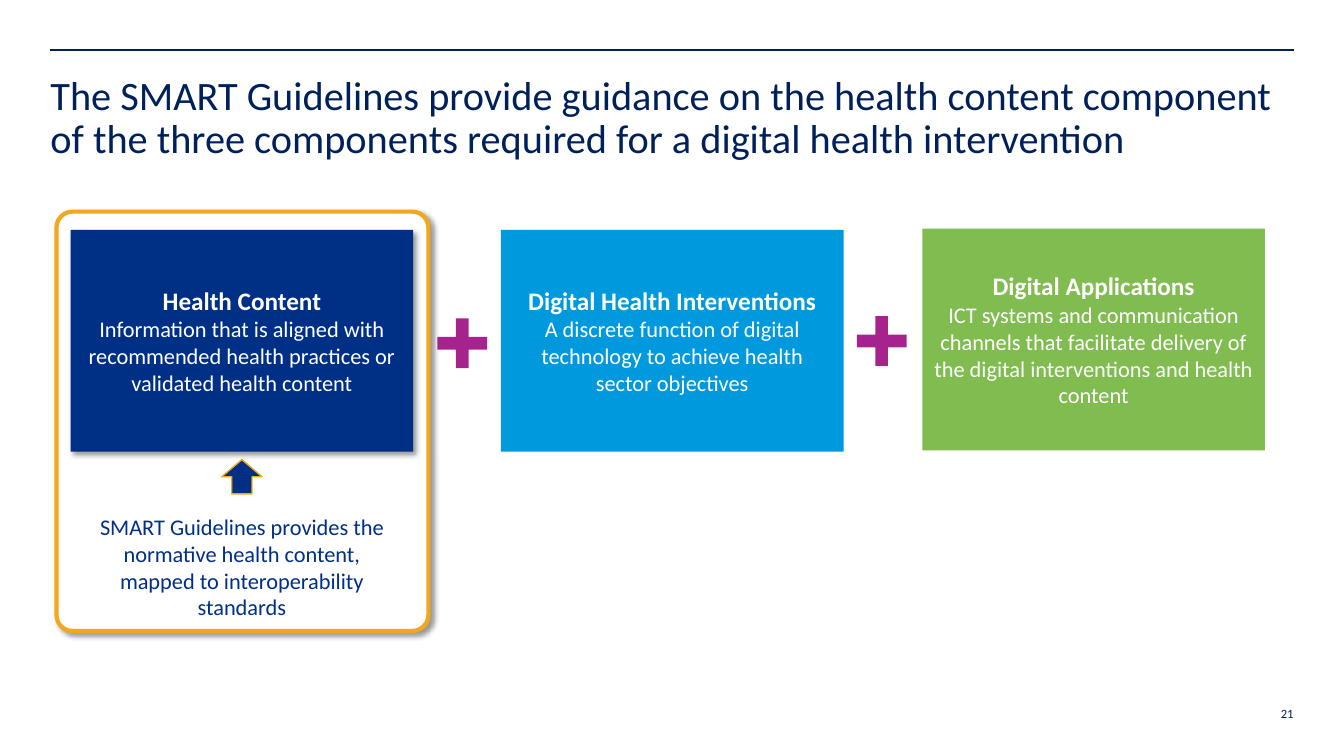
from lxml.etree import SubElement
from pptx import Presentation
from pptx.dml.color import RGBColor
from pptx.enum.shapes import MSO_CONNECTOR as CONNECTOR, MSO_SHAPE as SHAPE
from pptx.enum.text import MSO_ANCHOR as ANCHOR, PP_ALIGN as ALIGN
from pptx.oxml.ns import qn
from pptx.util import Pt

NAVY, BLUE, SKY, GREEN = "00205C", "002F86", "0099DD", "80BC50"
ORANGE, PURPLE, WHITE = "F3A81C", "A6228C", "FFFFFF"
CARD_WIDTH, CARD_HEIGHT, PLUS_SIZE = 244.8, 158.4, 35.6
CARDS = [
    (50.4, 164.2, BLUE, "Health Content",
     "Information that is aligned with recommended health practices or validated health content"),
    (357.8, 164.2, SKY, "Digital Health Interventions",
     "A discrete function of digital technology to achieve health sector objectives"),
    (658.8, 163.4, GREEN, "Digital Applications",
     "ICT systems and communication channels that facilitate delivery of the digital "
     "interventions and health content"),
]
PLUSES = [(312.4, 227.4), (612, 225.8)]


def color(hex_code):
    """Turn a hex string into a colour."""
    return RGBColor.from_string(hex_code)


def add_block(slide, kind, box, fill, outline=None, outline_width=1, adjust=None):
    """Add a filled preset shape without a shadow."""
    block = slide.shapes.add_shape(kind, *map(Pt, box))
    block.shadow.inherit = False
    block.fill.solid()
    block.fill.fore_color.rgb = color(fill)
    if outline:
        block.line.color.rgb = color(outline)
        block.line.width = Pt(outline_width)
    else:
        block.line.fill.background()
    if adjust is not None:
        block.adjustments[0] = adjust
    return block


def add_shadow(block):
    """Give a block a soft shadow to the lower right."""
    effects = block._element.spPr.find(qn("a:effectLst"))
    shadow = SubElement(effects, qn("a:outerShdw"), blurRad=str(Pt(4)), dist=str(Pt(3)),
                        dir="2700000", algn="tl", rotWithShape="0")
    black = SubElement(shadow, qn("a:srgbClr"), val="000000")
    SubElement(black, qn("a:alpha"), val="40000")


def style(paragraph, text, size, hue, align, bold=False):
    """Write a paragraph and set its font."""
    paragraph.text = text
    paragraph.alignment = align
    font = paragraph.font
    font.name, font.size, font.bold = "Calibri", Pt(size), bold
    font.color.rgb = color(hue)


def add_text(slide, box, text, size, hue, align=ALIGN.LEFT):
    """Add a wrapped text box without insets and return its frame."""
    frame = slide.shapes.add_textbox(*map(Pt, box)).text_frame
    frame.word_wrap = True
    frame.margin_left = frame.margin_right = frame.margin_top = frame.margin_bottom = 0
    style(frame.paragraphs[0], text, size, hue, align)
    return frame


def add_card(slide, left, top, fill, heading, description):
    """Add a component card with a heading and a description."""
    card = add_block(slide, SHAPE.RECTANGLE, (left, top, CARD_WIDTH, CARD_HEIGHT), fill)
    frame = card.text_frame
    frame.word_wrap = True
    frame.vertical_anchor = ANCHOR.MIDDLE
    style(frame.paragraphs[0], heading, 18, WHITE, ALIGN.CENTER, bold=True)
    style(frame.add_paragraph(), description, 16, WHITE, ALIGN.CENTER)
    return card


def add_rule(slide, left, right, top):
    """Add the thin horizontal line above the title."""
    rule = slide.shapes.add_connector(CONNECTOR.STRAIGHT, Pt(left), Pt(top), Pt(right), Pt(top))
    rule.line.color.rgb = color(NAVY)
    rule.line.width = Pt(1.5)
    SubElement(rule._element.spPr, qn("a:effectLst"))


def main():
    """Build the slide and save it."""
    deck = Presentation()
    deck.slide_width, deck.slide_height = Pt(960), Pt(540)
    slide = deck.slides.add_slide(deck.slide_layouts[6])

    add_rule(slide, 36, 924, 36)
    highlight = add_block(slide, SHAPE.ROUNDED_RECTANGLE, (40.3, 151.2, 265.7, 299.5),
                          WHITE, ORANGE, 3, 0.043)
    add_shadow(highlight)
    title = add_text(slide, (36, 54, 888, 79.2),
                     "The SMART Guidelines provide guidance on the health content component "
                     "of the three components required for a digital health intervention",
                     28.8, NAVY)
    title.paragraphs[0].line_spacing = 0.9
    add_text(slide, (894, 504, 30, 25.2), "21", 9, NAVY, ALIGN.RIGHT)

    health_content, *_ = [add_card(slide, *card) for card in CARDS]
    add_shadow(health_content)
    for left, top in PLUSES:
        add_block(slide, SHAPE.CROSS, (left, top, PLUS_SIZE, PLUS_SIZE), PURPLE, adjust=0.373)

    add_block(slide, SHAPE.UP_ARROW, (158.4, 328.3, 28.8, 24.5), BLUE, ORANGE)
    explanation = add_text(slide, (61.9, 358.6, 221.8, 92.2),
                           "SMART Guidelines provides the normative health content, "
                           "mapped to interoperability standards", 16, BLUE, ALIGN.CENTER)
    explanation.vertical_anchor = ANCHOR.MIDDLE
    deck.save("out.pptx")


if __name__ == "__main__":
    main()
